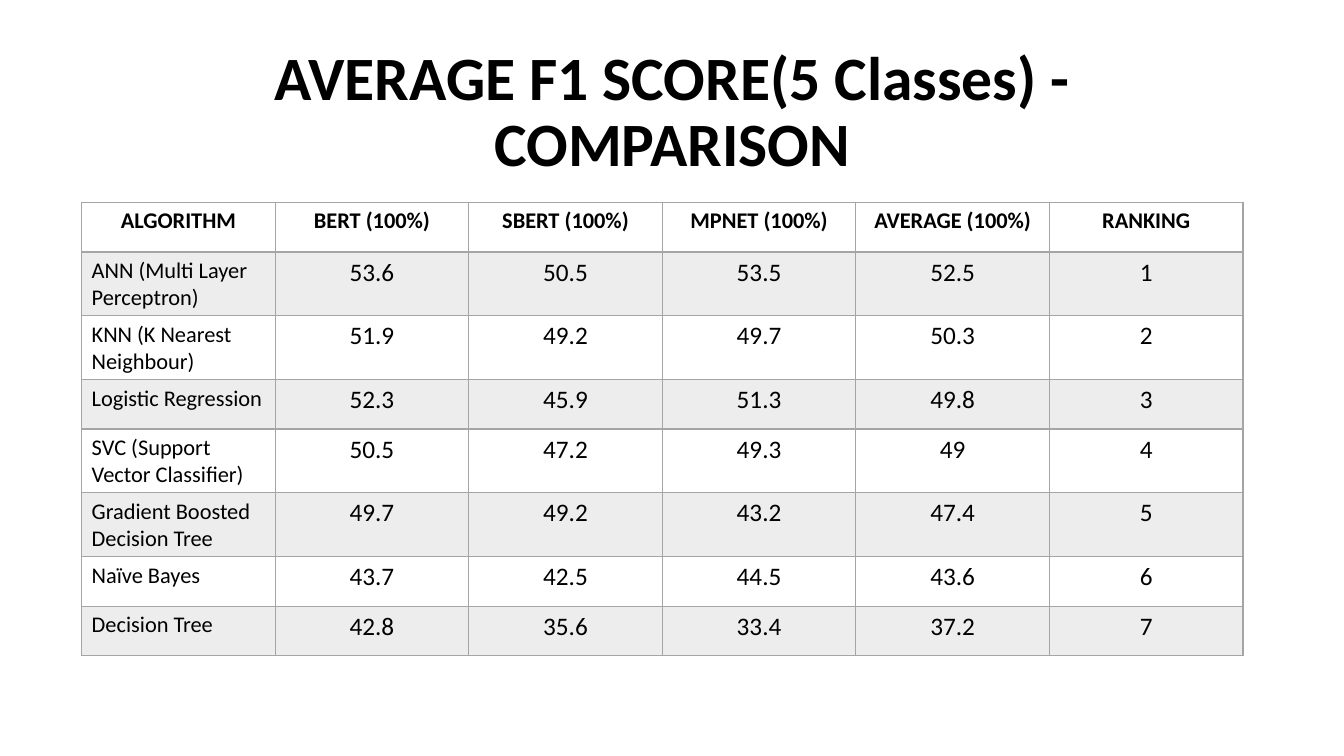
from dataclasses import dataclass
from typing import Any

from lxml import etree
from pptx import Presentation
from pptx.dml.color import RGBColor
from pptx.enum.text import MSO_ANCHOR, PP_ALIGN
from pptx.oxml.ns import qn
from pptx.util import Inches, Pt

LEFT, CENTER = PP_ALIGN.LEFT, PP_ALIGN.CENTER
MIDDLE = MSO_ANCHOR.MIDDLE

BLACK = RGBColor(0x00, 0x00, 0x00)
WHITE = RGBColor(0xFF, 0xFF, 0xFF)
BAND_GRAY = RGBColor(0xED, 0xED, 0xED)
BORDER_GRAY = RGBColor(0xA5, 0xA5, 0xA5)

FONT = "Calibri"
COLUMN_WIDTH, ROW_HEIGHT = Inches(1.92), Inches(0.49)
THIN, THICK = Pt(1), Pt(2)

HEADERS = ("ALGORITHM", "BERT (100%)", "SBERT (100%)", "MPNET (100%)",
           "AVERAGE (100%)", "RANKING")


@dataclass(frozen=True)
class Result:
    algorithm: str
    bert: str
    sbert: str
    mpnet: str
    average: str

    def texts(self, ranking: int) -> tuple[str, ...]:
        return (self.algorithm, self.bert, self.sbert, self.mpnet,
                self.average, str(ranking))


# Listed from best to worst, so the position gives the ranking
RESULTS = (
    Result("ANN (Multi Layer Perceptron)", "53.6", "50.5", "53.5", "52.5"),
    Result("KNN (K Nearest Neighbour)", "51.9", "49.2", "49.7", "50.3"),
    Result("Logistic Regression", "52.3", "45.9", "51.3", "49.8"),
    Result("SVC (Support Vector Classifier)", "50.5", "47.2", "49.3", "49"),
    Result("Gradient Boosted Decision Tree", "49.7", "49.2", "43.2", "47.4"),
    Result("Naïve Bayes", "43.7", "42.5", "44.5", "43.6"),
    Result("Decision Tree", "42.8", "35.6", "33.4", "37.2"),
)


@dataclass(frozen=True)
class TextStyle:
    size: int
    bold: bool = False
    alignment: Any = CENTER


TITLE_STYLE = TextStyle(44, bold=True)
HEADER_STYLE = TextStyle(16, bold=True)
NAME_STYLE = TextStyle(16, alignment=LEFT)
VALUE_STYLE = TextStyle(18)


def write_text(text_frame: Any, text: str, style: TextStyle) -> Any:
    paragraph = text_frame.paragraphs[0]
    paragraph.alignment = style.alignment
    run = paragraph.add_run()
    run.text = text
    font_values = {"name": FONT, "size": Pt(style.size), "bold": style.bold}
    for attribute, value in font_values.items():
        setattr(run.font, attribute, value)
    run.font.color.rgb = BLACK
    return paragraph


def set_borders(cell: Any, widths: dict[str, int]) -> None:
    properties = cell._tc.get_or_add_tcPr()
    for side, width in widths.items():
        line = etree.SubElement(properties, qn(f"a:ln{side}"), w=str(width))
        fill = etree.SubElement(line, qn("a:solidFill"))
        etree.SubElement(fill, qn("a:srgbClr"), val=str(BORDER_GRAY))


def add_title(slide: Any, text: str) -> None:
    box = slide.shapes.add_textbox(Inches(0.92), Inches(0.4), Inches(11.5), Inches(1.45))
    box.text_frame.word_wrap = True
    box.text_frame.vertical_anchor = MIDDLE
    write_text(box.text_frame, text, TITLE_STYLE).line_spacing = 0.9


def add_score_table(slide: Any) -> None:
    rows = [HEADERS] + [result.texts(rank) for rank, result in enumerate(RESULTS, 1)]
    table = slide.shapes.add_table(
        len(rows), len(HEADERS), Inches(0.81), Inches(2.01),
        COLUMN_WIDTH * len(HEADERS), ROW_HEIGHT * len(rows)).table
    for column in table.columns:
        column.width = COLUMN_WIDTH
    for row in table.rows:
        row.height = ROW_HEIGHT

    for row_index, texts in enumerate(rows):
        # The line under the header belongs to both rows it separates
        widths = {"L": THIN, "R": THIN,
                  "T": THICK if row_index == 1 else THIN,
                  "B": THICK if row_index == 0 else THIN}
        for column_index, text in enumerate(texts):
            cell = table.cell(row_index, column_index)
            if row_index == 0:
                style = HEADER_STYLE
            else:
                style = NAME_STYLE if column_index == 0 else VALUE_STYLE
            write_text(cell.text_frame, text, style)
            set_borders(cell, widths)
            cell.fill.solid()
            cell.fill.fore_color.rgb = BAND_GRAY if row_index % 2 else WHITE


# Slide
presentation = Presentation()
presentation.slide_width, presentation.slide_height = Inches(13.33), Inches(7.5)
slide = presentation.slides.add_slide(presentation.slide_layouts[6])

# Title above the ranked scores
add_title(slide, "AVERAGE F1 SCORE(5 Classes) - COMPARISON")
add_score_table(slide)

presentation.save("out.pptx")
